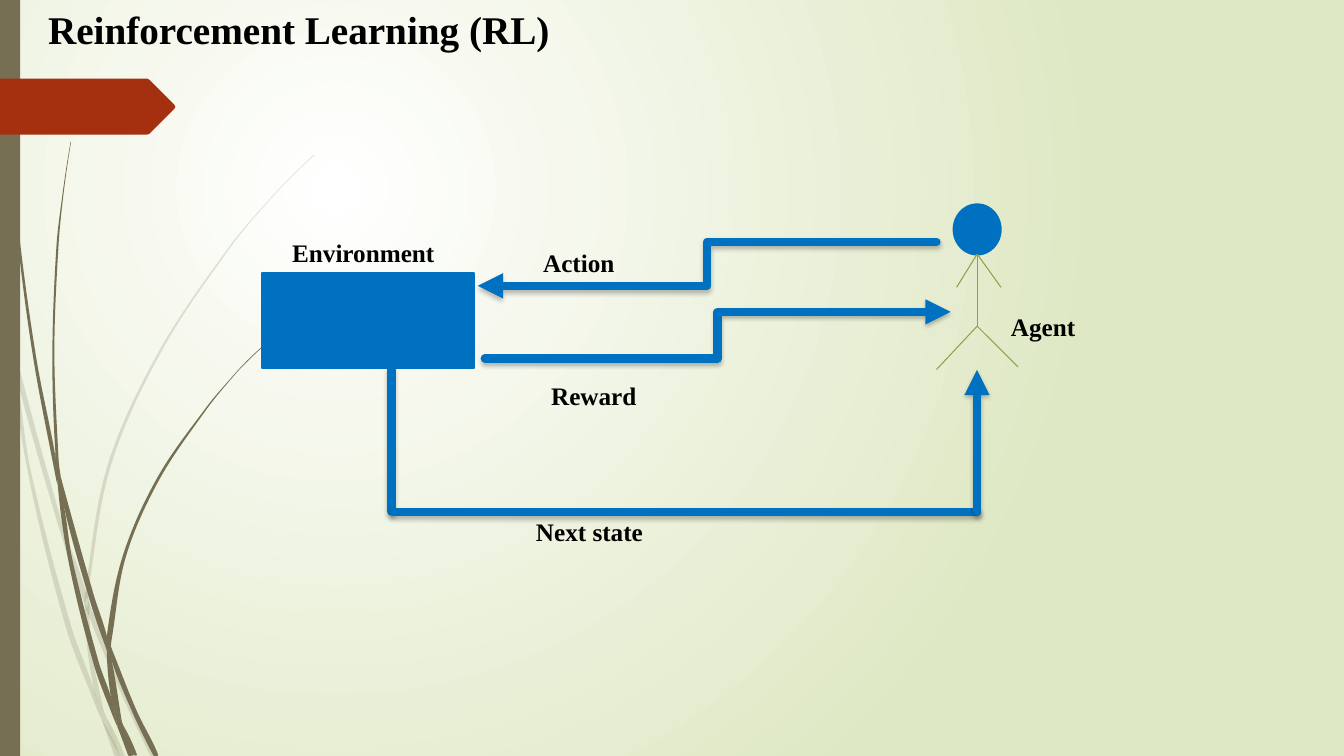
from lxml.etree import Element, SubElement
from pptx import Presentation
from pptx.dml.color import RGBColor
from pptx.enum.shapes import MSO_CONNECTOR, MSO_SHAPE
from pptx.oxml.ns import qn
from pptx.util import Pt

FONT = "Times New Roman"
COLORS = {"light": "FFFFFF", "edge": "DFE8C4", "grass": "766F54", "banner": "A53010",
          "blue": "0070C0", "limb": "8BA249", "text": "000000"}

# Text boxes: wording, left, top, width, height, size, wrap
TEXTS = [
    ("Environment", 201.6, 165.9, 117.4, 28.8, 18, False),
    ("Agent", 715, 218.9, 61.2, 28.8, 18, False),
    ("Action", 380.9, 172.8, 66.2, 28.8, 18, False),
    ("Reward", 386.6, 268.2, 76.3, 28.8, 18, False),
    ("Next state", 375.8, 365, 91.4, 28.8, 18, False),
    ("Reinforcement Learning (RL)", 27.2, 0, 394.6, 41, 28, True),
]
ENVIRONMENT = (187.2, 195.1, 151.6, 68)
HEAD = (681.1, 145.9, 33.8, 36)
SIDE_BAR = (0, 0, 14.4, 540)

# The agent's body: x1, y1, x2, y2
NECK, HIP, HAND = (698, 181.5), (698, 233), (668.9, 228.2)
LIMBS = [(*NECK, *HIP), (*HAND, *HAND), (*NECK, 715, 205.2), (*NECK, 683.3, 205.2),
         (*HIP, 668.9, 264), (*HIP, 727.2, 262.1)]

# Flows: connector kind, x1, y1, x2, y2, arrowhead at the end
ELBOW, STRAIGHT = MSO_CONNECTOR.ELBOW, MSO_CONNECTOR.STRAIGHT
FLOWS = [
    (ELBOW, 668.9, 172.8, 341.3, 204.2, True),
    (ELBOW, 346.3, 256, 679, 222.8, True),
    (STRAIGHT, 279.6, 264.2, 279.6, 365.4, False),
    (STRAIGHT, 281.5, 365.6, 697.9, 365.6, False),
    (STRAIGHT, 697.9, 365.4, 697.9, 264.2, True),
]

# Outlines are laid on a grid of 0.72 points, cut in ten for the curves
FINE = 10
GRID = Pt(0.72) / FINE
BANNER = [(0, 78), (146, 78), (148, 79), (173, 104), (174, 106), (173, 108),
          (148, 133), (146, 133.5), (136, 133.5), (0, 133.5)]
# A blade is its left side and its right side
PALE_BLADES = [
    ([(0, 282), (0, 299), (10, 344), (11, 350)], [(0, 282), (9, 322), (11, 350)]),
    ([(14, 345), (17, 376), (58, 522), (84, 599)], [(14, 345), (62, 520), (85, 586)]),
    ([(88, 596), (88, 610), (123, 694), (150, 751)], [(88, 596), (92, 607), (127, 692), (155, 751)]),
    ([(105, 711), (119, 751)], [(105, 711), (124, 751)]),
    ([(11, 350), (28, 470), (65, 621), (92, 693), (101, 714)],
     [(11, 350), (17, 376), (31, 469), (70, 619), (93, 683), (99, 707), (101, 714)]),
    ([(84, 599), (87, 646), (93, 683), (96, 692), (105, 711)],
     [(84, 599), (88, 608), (91, 646), (103, 706), (105, 711)]),
    ([(312, 153), (289, 175), (268, 197), (228, 244), (158, 348), (107, 461), (85, 585), (88, 596)],
     [(312, 154), (290, 175), (268, 198), (229, 245), (160, 349), (110, 462), (88, 584), (88, 596)]),
    ([(101, 714), (114, 751)], [(101, 714), (119, 751)]),
    ([(85, 586), (84, 599), (88, 610)], [(85, 586), (88, 596), (88, 610)]),
    ([(93, 683), (99, 707), (101, 714), (119, 751)], [(93, 683), (96, 692), (105, 711), (119, 751)]),
]
DARK_BLADES = [
    ([(3, 0), (4, 48), (7, 110), (17, 233), (33, 355), (56, 477), (57, 481)],
     [(4, 0), (5, 48), (8, 109), (19, 232), (36, 355), (55, 453), (57, 481)]),
    ([(60, 472), (64, 505), (88, 592), (106, 645)], [(60, 472), (93, 590), (106, 631), (106, 645)]),
    ([(110, 641), (111, 656), (132, 708), (152, 749)], [(110, 641), (113, 649), (136, 706), (157, 749)]),
    ([(57, 477), (68, 557), (93, 659), (111, 708), (117, 722)],
     [(57, 477), (64, 505), (72, 556), (98, 657), (110, 691), (116, 717), (117, 722)]),
    ([(70, 141), (62, 193), (56, 245), (52, 349), (55, 449), (60, 472)],
     [(70.5, 141), (63, 193), (58, 245), (54, 349), (58, 453), (60, 472)]),
    ([(122, 719), (133, 749)], [(122, 719), (136, 749)]),
    ([(55, 449), (57, 477), (64, 505)], [(55, 449), (60, 472), (64, 505)]),
    ([(260, 344), (245, 358), (231, 373), (204, 405), (156, 474), (122, 551), (106, 631), (110, 641)],
     [(261, 344), (245, 359), (231, 374), (205, 406), (158, 476), (125, 552), (111, 633), (110, 641)]),
    ([(117, 722), (127, 749)], [(117, 722), (131, 749)]),
    ([(106, 645), (110, 691), (116, 706), (122, 719)], [(106, 645), (111, 656), (121, 716), (122, 719)]),
    ([(106, 631), (106, 645), (111, 656)], [(106, 631), (110, 641), (111, 656)]),
    ([(110, 691), (116, 717), (117, 722), (130, 749)], [(110, 691), (116, 706), (122, 719), (133, 749)]),
]


def rgb(name):
    """Return a named colour."""
    return RGBColor.from_string(COLORS[name])


def curves(side):
    """Return (control, control, end) for each step of a smooth side, as complex numbers."""
    pts = [complex(*p) for p in side]
    ends = [pts[0], *pts, pts[-1]]
    slopes = [(c - a) / abs(c - a) for a, c in zip(ends, ends[2:])]
    if len(pts) > 2:
        slopes[0] **= 2
        slopes[0] /= slopes[1]
        slopes[-1] **= 2
        slopes[-1] /= slopes[-2]
    return [(a + u * abs(b - a) / 3, b - v * abs(b - a) / 3, b)
            for a, b, u, v in zip(pts, pts[1:], slopes, slopes[1:])]


def paint(s, color, line=None):
    """Give a shape a plain fill, no shadow and an optional line of the same colour."""
    s.shadow.inherit = False
    s.fill.solid()
    s.fill.fore_color.rgb = rgb(color)
    if line:
        s.line.color.rgb = rgb(color)
        s.line.width = Pt(line)
    else:
        s.line.fill.background()


def add_outline(shapes, points, color):
    """Add a closed outline given on the grid and return it."""
    first, *rest = [(x * FINE, y * FINE) for x, y in points]
    builder = shapes.build_freeform(*first, scale=GRID)
    builder.add_line_segments(rest, close=True)
    s = builder.convert_to_shape()
    paint(s, color)
    return s


def add_blades(slide, blades, opacity):
    """Add one group of curved grass blades."""
    group = slide.shapes.add_group_shape()
    for left, right in blades:
        back = right[::-1]
        if left[-1] != back[0]:
            back = [left[-1], *back]
        steps = curves(left) + curves(back)
        s = add_outline(group.shapes, [left[0]] + [(p.real, p.imag) for *_, p in steps], "grass")
        for seg, (c1, c2, p) in zip(list(s._element.iter(qn("a:lnTo"))), steps):
            seg.tag = qn("a:cubicBezTo")
            x, y = int(seg[0].get("x")), int(seg[0].get("y"))
            for i, c in enumerate((c1 - p, c2 - p)):
                seg.insert(i, Element(qn("a:pt"), x=str(round(x + c.real * FINE)),
                                      y=str(round(y + c.imag * FINE))))
        if opacity < 100:
            clr = s.fill._xPr.find(".//" + qn("a:srgbClr"))
            SubElement(clr, qn("a:alpha"), val=str(opacity * 1000))


def add_line(slide, kind, ends, color, width, arrow=False, shadow=False):
    """Add a connector, with an arrowhead and a soft shadow if asked."""
    s = slide.shapes.add_connector(kind, *map(Pt, ends))
    s.line.color.rgb = rgb(color)
    s.line.width = Pt(width)
    ln = s.line._get_or_add_ln()
    effects = SubElement(s._element.spPr, qn("a:effectLst"))
    if shadow:
        ln.set("cap", "rnd")
        SubElement(ln, qn("a:round"))
        outer = SubElement(effects, qn("a:outerShdw"), blurRad=str(Pt(3)), dist=str(Pt(2)),
                           dir="5400000", rotWithShape="0")
        clr = SubElement(outer, qn("a:srgbClr"), val=COLORS["text"])
        SubElement(clr, qn("a:alpha"), val="25000")
    if arrow:
        SubElement(ln, qn("a:tailEnd"), type="triangle")


def add_text(slide, text, left, top, width, height, size, wrap):
    """Add a bold text box."""
    tf = slide.shapes.add_textbox(*map(Pt, (left, top, width, height))).text_frame
    tf.text = text
    tf.word_wrap = wrap
    font = tf.paragraphs[0].runs[0].font
    font.name, font.size, font.bold = FONT, Pt(size), True
    font.color.rgb = rgb("text")


def set_background(slide):
    """Fill the background with a glow from the upper left."""
    fill = slide.background.fill
    fill.gradient()
    for stop, color in zip(fill.gradient_stops, ("light", "edge")):
        stop.color.rgb = rgb(color)
    grad = fill._xPr.find(qn("a:gradFill"))
    grad.remove(grad.find(qn("a:lin")))
    circle = SubElement(grad, qn("a:path"), path="circle")
    SubElement(circle, qn("a:fillToRect"), l="50000", t="50000", r="100000", b="100000")


prs = Presentation()
prs.slide_width, prs.slide_height = Pt(960), Pt(540)
slide = prs.slides.add_slide(prs.slide_layouts[6])
set_background(slide)
add_blades(slide, PALE_BLADES, 20)
add_blades(slide, DARK_BLADES, 100)
paint(slide.shapes.add_shape(MSO_SHAPE.RECTANGLE, *map(Pt, SIDE_BAR)), "grass")
add_outline(slide.shapes, BANNER, "banner")
paint(slide.shapes.add_shape(MSO_SHAPE.RECTANGLE, *map(Pt, ENVIRONMENT)), "blue", 1.25)
paint(slide.shapes.add_shape(MSO_SHAPE.OVAL, *map(Pt, HEAD)), "blue", 1.25)
for limb in LIMBS:
    add_line(slide, STRAIGHT, limb, "limb", 0.75)
for kind, *ends, arrow in FLOWS:
    add_line(slide, kind, ends, "blue", 6, arrow, shadow=True)
for item in TEXTS:
    add_text(slide, *item)
prs.save("out.pptx")
